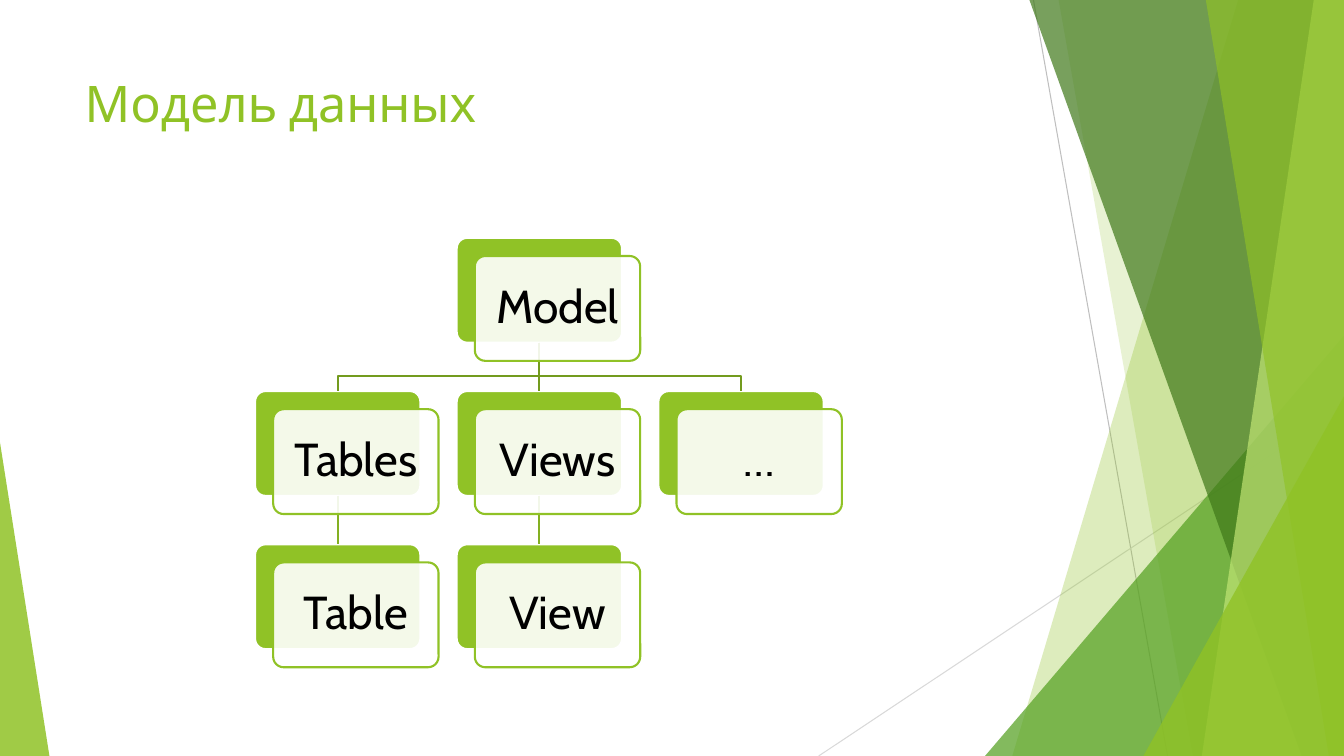
from dataclasses import dataclass
from lxml.etree import SubElement
from pptx import Presentation
from pptx.dml.color import RGBColor
from pptx.enum.shapes import MSO_CONNECTOR as CONN, MSO_SHAPE as SHAPE
from pptx.enum.text import MSO_ANCHOR as ANCHOR, PP_ALIGN as ALIGN
from pptx.oxml.ns import qn
from pptx.util import Inches, Pt

TITLE = "Модель данных"
NODES = {
    "Model": (1, 0, None),
    "Tables": (0, 1, "Model"),
    "Table": (0, 2, "Tables"),
    "Views": (1, 1, "Model"),
    "View": (1, 2, "Views"),
    "…": (2, 1, "Model"),
}


@dataclass(frozen=True)
class Theme:
    """Colours, font and type sizes of the slide."""
    green: str = "90C226"
    leaf: str = "54A021"
    forest: str = "3F7819"
    lime: str = "C0E474"
    white: str = "FFFFFF"
    black: str = "000000"
    branches: tuple = ("739B1E", "83B022")
    font: str = "Cabin"
    title_size: int = 36
    node_size: int = 33
    line: float = 1.5
    hairline: float = 0.75


T = Theme()
W, H = 13.33, 7.5
RAYS = [
    ((10.25, 0), (11.58, H), "BFBFBF"),
    ((W, 4.03), (8.12, H), "D9D9D9"),
]
FACETS = [
    ("band", (12.28, 10.04), T.green, 30),
    ("band", (10.5, 11.83), T.green, 20),
    ("triangle", (9.77, 3.33, 3.56, 4.17, 1), T.leaf, 72),
    ("band", (10.21, 12.91), T.forest, 70),
    ("band", (13.03, 11.92), T.lime, 70),
    ("band", (11.96, 13.18), T.green, 65),
    ("triangle", (11.34, 3.93, 1.99, 3.57, 1), T.green, 80),
    ("triangle", (0, 4.39, 0.49, 3.11, 0), T.green, 85),
]
LEFT, TOP, STEP_X, STEP_Y = 2.53, 2.36, 2, 1.52
CARD_W, CARD_H, SHIFT, BEND = 1.64, 1.04, 0.18, 0.15


def paint(sp, color, alpha=100, line=None):
    """Give a shape a flat fill, its opacity and an optional outline."""
    sp.shadow.inherit = False
    sp.fill.solid()
    sp.fill.fore_color.rgb = RGBColor.from_string(color)
    if alpha < 100:
        clr = sp.fill._xPr.find(qn("a:solidFill"))[0]
        SubElement(clr, qn("a:alpha"), val=str(alpha * 1000))
    if line:
        stroke(sp, line)
    else:
        sp.line.fill.background()


def stroke(sp, color, width=T.line):
    """Set the line colour and width."""
    sp.line.color.rgb = RGBColor.from_string(color)
    sp.line.width = Pt(width)


def add_path(shapes, points, close):
    """Draw a freeform through points in inches."""
    points = [(Inches(x), Inches(y)) for x, y in points]
    builder = shapes.build_freeform(*points[0])
    builder.add_line_segments(points[1:], close=close)
    return builder.convert_to_shape()


def add_line(shapes, start, end, color, width):
    """Draw a straight connector without a shadow."""
    s = shapes.add_connector(CONN.STRAIGHT, *map(Inches, start + end))
    stroke(s, color, width)
    SubElement(s._element.spPr, qn("a:effectLst"))
    return s


def add_backdrop(shapes):
    """Draw the rays and the translucent green facets."""
    for start, end, color in RAYS:
        add_line(shapes, start, end, color, T.hairline)
    for kind, geometry, color, alpha in FACETS:
        if kind == "band":
            top_x, bottom_x = geometry
            sp = add_path(shapes, [(top_x, 0), (W, 0), (W, H), (bottom_x, H)], True)
        else:
            *box, apex = geometry
            sp = shapes.add_shape(SHAPE.ISOSCELES_TRIANGLE, *map(Inches, box))
            sp.adjustments[0] = apex
        paint(sp, color, alpha)


def write(sp, text, size, color, frame, para):
    """Fill a shape with one formatted paragraph."""
    tf = sp.text_frame
    for name, value in frame.items():
        setattr(tf, name, value)
    p = tf.paragraphs[0]
    for name, value in para.items():
        setattr(p, name, value)
    r = p.add_run()
    r.text = text
    for name, value in {"name": T.font, "size": Pt(size)}.items():
        setattr(r.font, name, value)
    r.font.color.rgb = RGBColor.from_string(color)


def corner(name, shift=0):
    """Return the left and top of a node's card."""
    col, row, _ = NODES[name]
    return LEFT + col * STEP_X + shift, TOP + row * STEP_Y + shift


def add_card(shapes, name, shift, color, alpha, line):
    """Add one rounded card of a node."""
    box = *corner(name, shift), CARD_W, CARD_H
    sp = shapes.add_shape(SHAPE.ROUNDED_RECTANGLE, *map(Inches, box))
    sp.adjustments[0] = 0.1
    paint(sp, color, alpha, line)
    return sp


def add_branch(shapes, cards, parent, child):
    """Join a parent card to its child, bending when columns differ."""
    (px, py), (cx, cy) = corner(parent), corner(child)
    start, end = (px + CARD_W / 2, py + CARD_H), (cx + CARD_W / 2, cy)
    color = T.branches[NODES[parent][1]]
    if px == cx:
        s = add_line(shapes, start, end, color, T.line)
        s.begin_connect(cards[parent], 2)
        s.end_connect(cards[child], 0)
    else:
        bend = cy - BEND
        sp = add_path(shapes, [start, (start[0], bend), (end[0], bend), end], False)
        sp.shadow.inherit = False
        sp.fill.background()
        stroke(sp, color)


def add_tree(shapes):
    """Draw back cards, branches, then labelled front cards."""
    cards = {n: add_card(shapes, n, 0, T.green, 100, T.white) for n in NODES}
    for name, (_, _, parent) in NODES.items():
        if parent:
            add_branch(shapes, cards, parent, name)
    sides = ("left", "right", "top", "bottom")
    frame = {f"margin_{side}": Inches(0.14) for side in sides}
    frame |= {"word_wrap": True, "vertical_anchor": ANCHOR.MIDDLE}
    para = {"alignment": ALIGN.CENTER, "line_spacing": 0.9}
    for name in NODES:
        sp = add_card(shapes, name, SHIFT, T.white, 90, T.green)
        write(sp, name, T.node_size, T.black, frame, para)


def main():
    """Build and save the slide."""
    prs = Presentation()
    prs.slide_width, prs.slide_height = Inches(W), Inches(H)
    slide = prs.slides.add_slide(prs.slide_layouts[5])
    add_backdrop(slide.shapes)
    title = slide.shapes.title
    box = {"left": 0.74, "top": 0.67, "width": 9.4, "height": 1.44}
    for name, value in box.items():
        setattr(title, name, Inches(value))
    write(title, TITLE, T.title_size, T.green,
          {"vertical_anchor": ANCHOR.TOP, "word_wrap": True},
          {"alignment": ALIGN.LEFT})
    add_tree(slide.shapes)
    prs.save("out.pptx")


if __name__ == "__main__":
    main()
